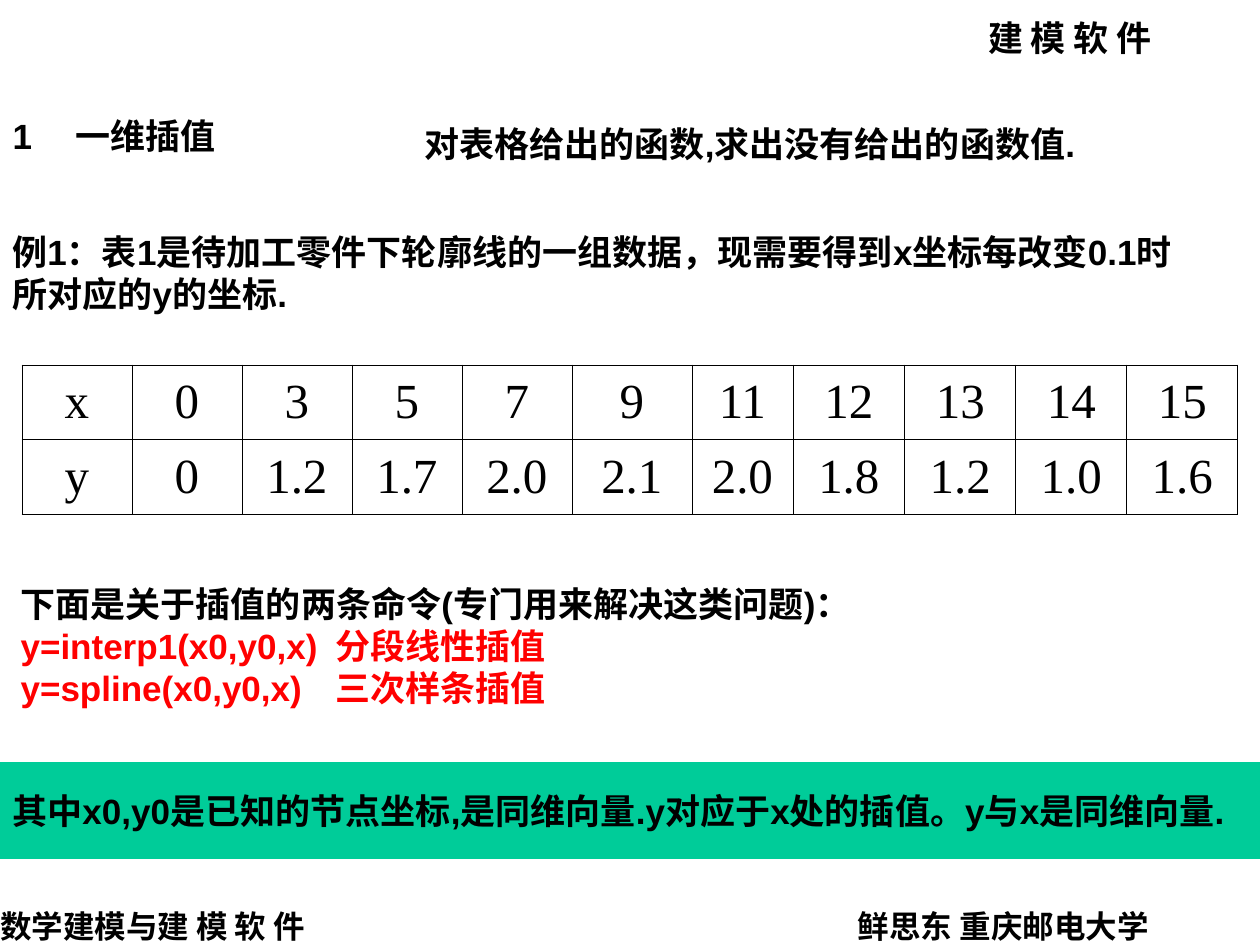
from lxml import etree
from pptx import Presentation
from pptx.dml.color import RGBColor
from pptx.enum.shapes import MSO_SHAPE
from pptx.enum.text import MSO_ANCHOR, MSO_AUTO_SIZE, PP_ALIGN
from pptx.oxml.ns import qn
from pptx.util import Pt

PX = 914400 / 126
RECTANGLE = MSO_SHAPE.RECTANGLE
TOP, MIDDLE = MSO_ANCHOR.TOP, MSO_ANCHOR.MIDDLE
LEFT, CENTER = PP_ALIGN.LEFT, PP_ALIGN.CENTER
COLORS = {"text": "000000", "command": "FF0000", "band": "00CC99", "paper": "FFFFFF"}
CJK = "Noto Sans CJK SC"


def px(n):
    return round(n * PX)


def write(frame, lines, font="Arial", size=20, bold=True, align=LEFT, tab=None):
    """Fill a frame with (text, colour name) lines, unbulleted, with one optional tab stop."""
    for i, (text, color) in enumerate(lines):
        para = frame.paragraphs[0] if i == 0 else frame.add_paragraph()
        props = para._p.get_or_add_pPr()
        props.set("marL", "0")
        props.set("indent", "0")
        etree.SubElement(props, qn("a:buNone"))
        if tab:
            stops = etree.SubElement(props, qn("a:tabLst"))
            etree.SubElement(stops, qn("a:tab"), pos=str(px(tab)), algn="l")
        para.alignment = align
        para.space_before = Pt(0)
        run = para.add_run()
        run.text = text
        for name, value in {"name": font, "size": Pt(size), "bold": bold}.items():
            setattr(run.font, name, value)
        run.font.color.rgb = RGBColor.from_string(COLORS[color])
        etree.SubElement(run._r.get_or_add_rPr(), qn("a:ea"),
                         typeface=font if "CJK" in font else CJK)


prs = Presentation()
prs.slide_width, prs.slide_height = px(1260), px(945)
slide = prs.slides.add_slide(prs.slide_layouts[1])
shapes = slide.shapes

# Header label and footers, without margins
header = shapes.add_shape(RECTANGLE, px(988), px(16), px(220), px(42))
course = shapes.add_textbox(px(0), px(907), px(362), px(38))
author = shapes.add_textbox(px(858), px(907), px(362), px(38))
for box, text, font, size in (
    (header, "建 模 软 件", CJK, 20),
    (course, "数学建模与建 模 软 件", "Noto Sans CJK JP", 18),
    (author, "鲜思东 重庆邮电大学", CJK, 18),
):
    margins = dict.fromkeys(("margin_left", "margin_top", "margin_right", "margin_bottom"), 0)
    for name, value in {**margins, "word_wrap": True, "vertical_anchor": TOP}.items():
        setattr(box.text_frame, name, value)
    write(box.text_frame, [(text, "text")], font, size)

# Section heading, explanations and commands
section, commands = slide.placeholders
purpose = shapes.add_textbox(px(412), px(116), px(701), px(55))
example = shapes.add_textbox(px(0), px(224), px(1216), px(97))
band = shapes.add_shape(RECTANGLE, px(0), px(762), px(1260), px(97))
for placeholder, place in ((section, (0, 108, 372, 55)), (commands, (8, 576, 1260, 139))):
    for name, value in zip(("left", "top", "width", "height"), place):
        setattr(placeholder, name, px(value))

for box, wrap, anchor, tab, lines in (
    (section, True, MIDDLE, 76, [("1\t一维插值", "text")]),
    (purpose, False, MIDDLE, None, [("对表格给出的函数,求出没有给出的函数值.", "text")]),
    (example, True, TOP, None,
     [("例1：表1是待加工零件下轮廓线的一组数据，现需要得到x坐标每改变0.1时所对应的y的坐标.", "text")]),
    (commands, True, MIDDLE, 381,
     [("下面是关于插值的两条命令(专门用来解决这类问题)：", "text"),
      ("y=interp1(x0,y0,x)\t分段线性插值", "command"),
      ("y=spline(x0,y0,x)\t三次样条插值", "command")]),
    (band, True, MIDDLE, None,
     [("其中x0,y0是已知的节点坐标,是同维向量.y对应于x处的插值。y与x是同维向量.", "text")]),
):
    layout = {"word_wrap": wrap, "vertical_anchor": anchor, "auto_size": MSO_AUTO_SIZE.NONE}
    for name, value in layout.items():
        setattr(box.text_frame, name, value)
    write(box.text_frame, lines, tab=tab)

for box, fill in ((header, "paper"), (band, "band")):
    box.shadow.inherit = False
    box.fill.solid()
    box.fill.fore_color.rgb = RGBColor.from_string(COLORS[fill])
    box.line.fill.background()

# Contour data
contour = [
    ["x", "0", "3", "5", "7", "9", "11", "12", "13", "14", "15"],
    ["y", "0", "1.2", "1.7", "2.0", "2.1", "2.0", "1.8", "1.2", "1.0", "1.6"],
]
widths = [110] * 5 + [120, 101, 112] + [111] * 3
heights = [74, 75]
grid = shapes.add_table(len(contour), len(widths), px(22), px(365),
                        px(sum(widths)), px(sum(heights))).table
grid.first_row = grid.horz_banding = False
for column, width in zip(grid.columns, widths):
    column.width = px(width)
for row, height, values in zip(grid.rows, heights, contour):
    row.height = px(height)
    for cell, value in zip(row.cells, values):
        cell.vertical_anchor = MIDDLE
        write(cell.text_frame, [(value, "text")], "Times New Roman", 28, False, CENTER)
        props = cell._tc.get_or_add_tcPr()
        for side in ("lnL", "lnR", "lnT", "lnB"):
            border = etree.SubElement(props, qn(f"a:{side}"), w=str(Pt(0.45)))
            paint = etree.SubElement(border, qn("a:solidFill"))
            etree.SubElement(paint, qn("a:srgbClr"), val=COLORS["text"])
        cell.fill.background()

prs.save("out.pptx")
